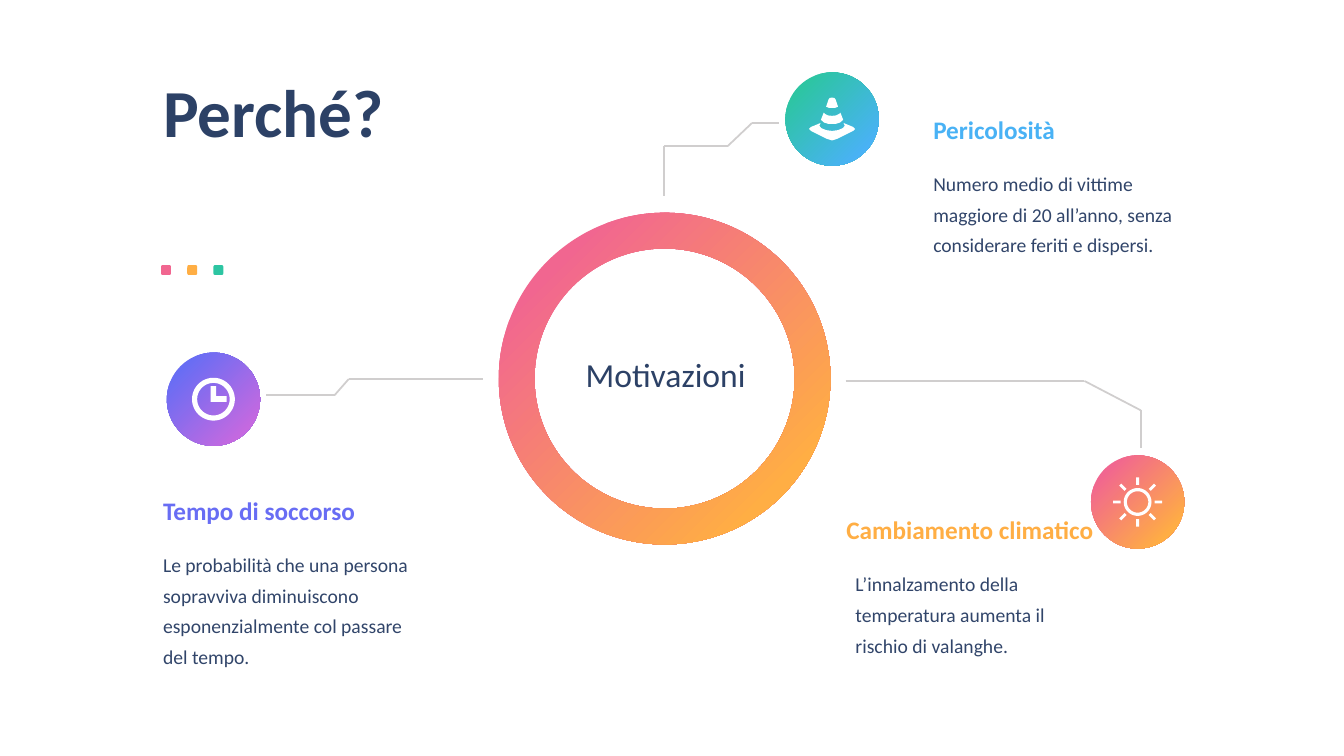
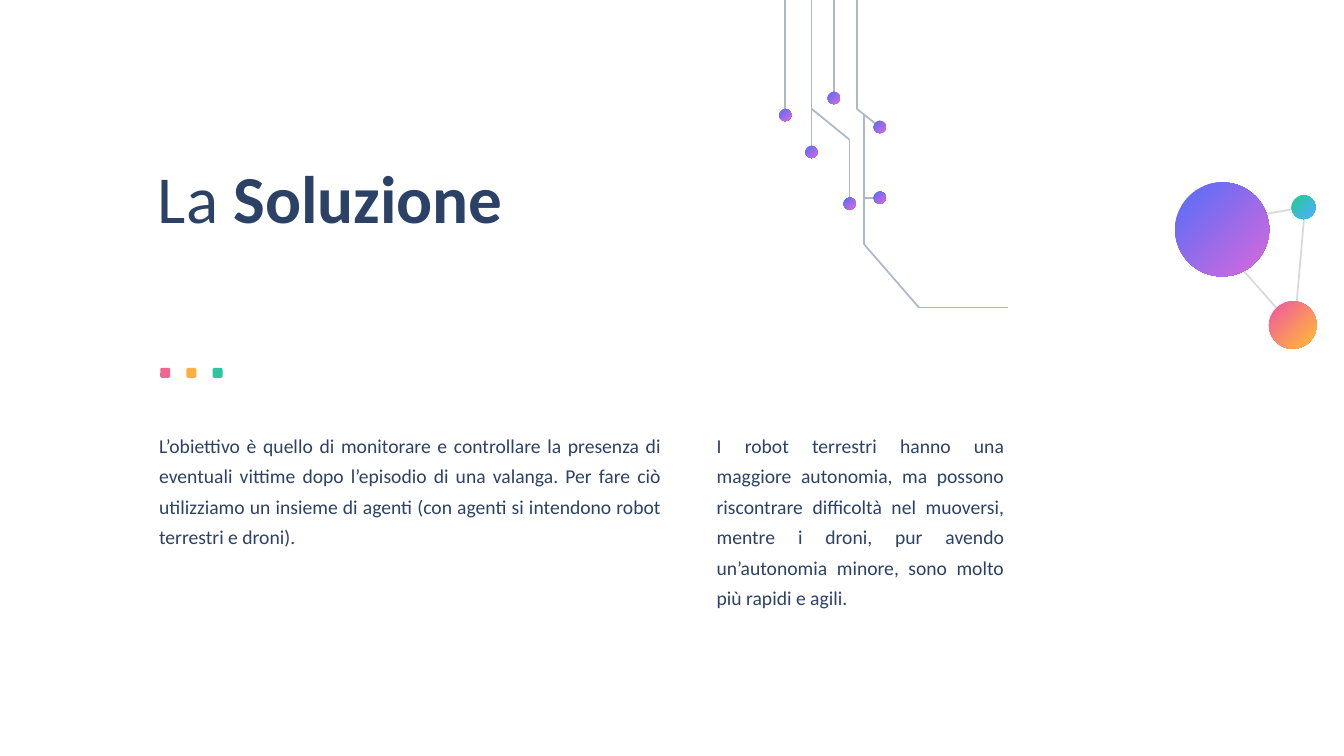
from dataclasses import dataclass
from math import cos, pi, sin

from lxml import etree
from pptx import Presentation
from pptx.dml.color import RGBColor
from pptx.enum.shapes import MSO_CONNECTOR, MSO_SHAPE
from pptx.enum.text import MSO_AUTO_SIZE, PP_ALIGN
from pptx.oxml.ns import qn
from pptx.util import Cm, Pt

STRAIGHT = MSO_CONNECTOR.STRAIGHT
OVAL, RING, ROUNDED = MSO_SHAPE.OVAL, MSO_SHAPE.DONUT, MSO_SHAPE.ROUNDED_RECTANGLE
GROW = MSO_AUTO_SIZE.SHAPE_TO_FIT_TEXT
LEFT, CENTER, JUSTIFY = PP_ALIGN.LEFT, PP_ALIGN.CENTER, PP_ALIGN.JUSTIFY


@dataclass(frozen=True)
class Theme:
    font: str = "Calibri"
    white: str = "FFFFFF"
    navy: str = "2C4166"
    slate: str = "31456A"
    violet: str = "686DF4"
    pink: str = "F16690"
    orange: str = "FFAE44"
    green: str = "2DC5A2"
    sky: str = "49B2F5"
    path_grey: str = "D0CECE"
    circuit_grey: str = "ADB9CA"
    bond_grey: str = "D9D9D9"
    violet_blend: tuple = ("686DF4", "C569E0")
    green_blend: tuple = ("2DC5A2", "49B2F5")
    sunset_blend: tuple = ("F16690", "FFAE44")
    title: int = 48
    centre: int = 24
    heading: int = 18
    body: int = 14
    line: float = 1.25
    body_spacing: float = 1.3


THEME = Theme()


# Fills and outlines
def paint(shape, fill):
    """Fill with one colour, or with a diagonal blend of two."""
    shape.shadow.inherit = False
    shape.line.fill.background()
    if isinstance(fill, str):
        shape.fill.solid()
        shape.fill.fore_color.rgb = RGBColor.from_string(fill)
        return
    shape.fill.gradient()
    shape.fill.gradient_angle = 315
    for stop, position, colour in zip(shape.fill.gradient_stops, (0.16, 0.84), fill):
        stop.position = position
        stop.color.rgb = RGBColor.from_string(colour)


def add_round(slide, centre, diameter, fill, kind=OVAL):
    x, y = centre
    disc = slide.shapes.add_shape(kind, Cm(x - diameter / 2), Cm(y - diameter / 2),
                                  Cm(diameter), Cm(diameter))
    paint(disc, fill)
    return disc


def add_wire(slide, points, colour):
    """Join the points with straight segments."""
    for (x1, y1), (x2, y2) in zip(points, points[1:]):
        segment = slide.shapes.add_connector(STRAIGHT, Cm(x1), Cm(y1), Cm(x2), Cm(y2))
        segment.line.color.rgb = RGBColor.from_string(colour)
        segment.line.width = Pt(THEME.line)
        etree.SubElement(segment._element.spPr, qn("a:effectLst"))


# Text
def add_text(slide, box, runs, size, colour, align=LEFT, spacing=None, before=None):
    """Runs are (text, bold) pairs."""
    frame = slide.shapes.add_textbox(*map(Cm, box)).text_frame
    frame.word_wrap = True
    frame.auto_size = GROW
    paragraph = frame.paragraphs[0]
    paragraph.alignment = align
    if spacing:
        paragraph.line_spacing = spacing
    if before:
        paragraph.space_before = Pt(before)
    for text, bold in runs:
        run = paragraph.add_run()
        run.text = text
        run.font.name = THEME.font
        run.font.size = Pt(size)
        run.font.bold = bold
        run.font.color.rgb = RGBColor.from_string(colour)


def add_title(slide, left, top, width, runs):
    add_text(slide, (left, top, width, 2.31), runs, THEME.title, THEME.navy, before=12)


def add_body(slide, box, text, colour, align=LEFT):
    add_text(slide, box, [(text, False)], THEME.body, colour, align, THEME.body_spacing)


def add_reason(slide, left, top, width, heading, colour, body_box, text):
    """A coloured heading with its explanation below."""
    add_text(slide, (left, top, width, 1.17), [(heading, True)], THEME.heading, colour,
             spacing=THEME.body_spacing)
    body_left, body_width, body_height = body_box
    add_body(slide, (body_left, top + 1.5, body_width, body_height), text, THEME.slate)


def add_accents(slide, left, top):
    for i, colour in enumerate((THEME.pink, THEME.orange, THEME.green)):
        accent = slide.shapes.add_shape(ROUNDED, Cm(left + 0.66 * i), Cm(top),
                                        Cm(0.25), Cm(0.25))
        paint(accent, colour)


# Icons: outlines in cm around the middle of their badge
def circle(radius, steps=48):
    angles = [2 * pi * i / steps for i in range(steps)]
    return [(radius * cos(a), radius * sin(a)) for a in angles]


def ray(angle, inner=0.43, outer=0.62, half=0.035):
    corners = ((inner, -half), (outer, -half), (outer, half), (inner, half))
    return [(x * cos(angle) - y * sin(angle), x * sin(angle) + y * cos(angle))
            for x, y in corners]


def mirrored(right_half):
    return right_half + [(-x, y) for x, y in reversed(right_half)]


def sun_icon():
    return [circle(0.35), circle(0.27)] + [ray(i * pi / 4) for i in range(8)]


def clock_icon():
    hands = [(-0.07, -0.33), (0.07, -0.33), (0.07, -0.08),
             (0.33, -0.08), (0.33, 0.07), (-0.07, 0.07)]
    return [circle(0.54), circle(0.41), hands]


def cone_icon():
    tip = [(0, -0.54), (0.06, -0.53), (0.09, -0.49), (0.15, -0.31), (0.08, -0.28),
           (0, -0.28)]
    band = [(0, -0.08), (0.1, -0.09), (0.18, -0.13), (0.21, -0.16), (0.28, 0.02),
            (0.2, 0.09), (0.1, 0.12), (0, 0.12)]
    base = [(0, 0.3), (0.15, 0.28), (0.27, 0.23), (0.32, 0.17), (0.29, 0.1),
            (0.53, 0.2), (0.58, 0.25), (0.53, 0.3), (0.13, 0.5), (0, 0.54)]
    return [mirrored(part) for part in (tip, band, base)]


def add_badge(slide, centre, blend, outlines):
    add_round(slide, centre, 2.35, blend)
    x, y = centre
    placed = [[(Cm(x + dx), Cm(y + dy)) for dx, dy in outline] for outline in outlines]
    builder = slide.shapes.build_freeform(*placed[0][0])
    builder.add_line_segments(placed[0][1:])
    for outline in placed[1:]:
        builder.move_to(*outline[0])
        builder.add_line_segments(outline[1:])
    paint(builder.convert_to_shape(), THEME.white)


# Slides
def build_reasons(slide):
    paths = (
        [(21.31, 9.6), (27.33, 9.6), (28.75, 10.34), (28.75, 11.3)],
        [(6.71, 9.96), (8.43, 9.96), (8.79, 9.55), (12.17, 9.55)],
        [(16.74, 4.93), (16.74, 3.68), (18.34, 3.68), (18.95, 3.1), (19.63, 3.1)],
    )
    for points in paths:
        add_wire(slide, points, THEME.path_grey)

    hub = add_round(slide, (16.75, 9.54), 8.36, THEME.sunset_blend, RING)
    hub.adjustments[0] = 0.108
    add_text(slide, (13.51, 8.79, 6.53, 1.27), [("Motivazioni", False)],
             THEME.centre, THEME.navy, CENTER)

    add_badge(slide, (5.38, 10.06), THEME.violet_blend, clock_icon())
    add_badge(slide, (20.97, 3), THEME.green_blend, cone_icon())
    add_badge(slide, (28.67, 12.65), THEME.sunset_blend, sun_icon())

    add_title(slide, 3.86, 1.65, 10.11, [("Perché?", True)])
    add_accents(slide, 4.06, 6.68)
    add_reason(slide, 3.86, 12.14, 6.2, "Tempo di soccorso", THEME.violet,
               (3.86, 6.93, 3.3),
               "Le probabilità che una persona sopravviva diminuiscono "
               "esponenzialmente col passare del tempo.")
    add_reason(slide, 21.08, 12.62, 6.99, "Cambiamento climatico", THEME.orange,
               (21.31, 6.5, 2.54),
               "L’innalzamento della temperatura aumenta il rischio di valanghe.")
    add_reason(slide, 23.27, 2.54, 6.07, "Pericolosità", THEME.sky,
               (23.27, 6.58, 2.54),
               "Numero medio di vittime maggiore di 20 all’anno, senza "
               "considerare feriti e dispersi.")


def build_solution(slide):
    # Circuit: the trunk, then branches that end in a node
    trunk = [(21.77, 2.87), (21.77, 6.15), (23.16, 7.75), (25.4, 7.75)]
    branches = (
        [(19.79, 0), (19.79, 2.9)],
        [(20.45, 0), (20.45, 3.83)],
        [(20.45, 2.74), (21.41, 3.52), (21.41, 5.13)],
        [(21.01, 0), (21.01, 2.47)],
        [(21.59, 0), (21.59, 2.74), (22.17, 3.2)],
        [(21.77, 4.98), (22.17, 4.98)],
    )
    add_wire(slide, trunk, THEME.circuit_grey)
    for points in branches:
        add_wire(slide, points, THEME.circuit_grey)
        add_round(slide, points[-1], 0.31, THEME.violet_blend)

    # Molecule
    bonds = (
        [(31.17, 6.63), (32.16, 7.75)],
        [(32.79, 5.23), (31.8, 5.41)],
        [(32.87, 5.41), (32.64, 8.05)],
    )
    for points in bonds:
        add_wire(slide, points, THEME.bond_grey)
    add_round(slide, (30.8, 5.78), 2.37, THEME.violet_blend)
    add_round(slide, (32.58, 8.19), 1.2, THEME.sunset_blend)
    add_round(slide, (32.85, 5.22), 0.6, THEME.green_blend)

    # Texts
    add_title(slide, 3.73, 3.81, 11.28, [("La ", False), ("Soluzione", True)])
    add_accents(slide, 4.04, 9.27)
    add_body(slide, (3.76, 10.62, 13.16, 3.3),
             "L’obiettivo è quello di monitorare e controllare la presenza di "
             "eventuali vittime dopo l’episodio di una valanga. Per fare ciò "
             "utilizziamo un insieme di agenti (con agenti si intendono robot "
             "terrestri e droni).", THEME.navy, JUSTIFY)
    add_body(slide, (17.81, 10.62, 7.75, 4.85),
             "I robot terrestri hanno una maggiore autonomia, ma possono "
             "riscontrare difficoltà nel muoversi, mentre i droni, pur avendo "
             "un’autonomia minore, sono molto più rapidi e agili.",
             THEME.navy, JUSTIFY)


def main():
    deck = Presentation()
    deck.slide_width, deck.slide_height = Cm(33.87), Cm(19.05)
    blank = deck.slide_layouts[6]
    for build in (build_reasons, build_solution):
        build(deck.slides.add_slide(blank))
    deck.save("out.pptx")


main()
